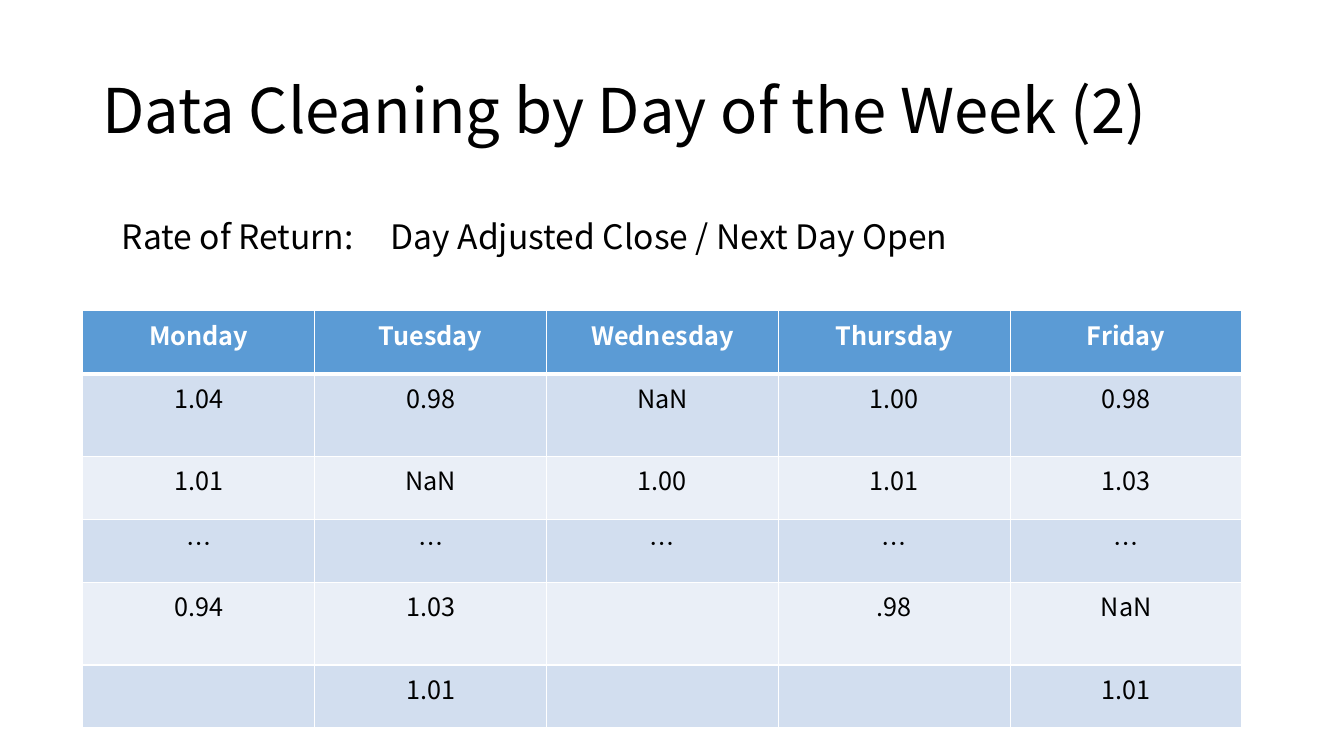
from lxml import etree
from pptx import Presentation
from pptx import util as u
from pptx.dml.color import RGBColor
from pptx.enum import text
from pptx.oxml.ns import qn

FONT = "Noto Sans CJK KR"
COLORS = {
    "text": "000000",
    "white": "FFFFFF",
    "header": "5B9BD5",
    "band_dark": "D2DEEF",
    "band_light": "EAEFF7",
}
RETURNS = [
    ["Monday", "Tuesday", "Wednesday", "Thursday", "Friday"],
    ["1.04", "0.98", "NaN", "1.00", "0.98"],
    ["1.01", "NaN", "1.00", "1.01", "1.03"],
    ["…"] * 5,
    ["0.94", "1.03", "", ".98", "NaN"],
    ["", "1.01", "", "", "1.01"],
]
ROW_HEIGHTS = [45, 59, 45, 45, 59, 45]
COL_WIDTH = 165.6


def rgb(name):
    """Look up a palette colour."""
    return RGBColor.from_string(COLORS[name])


def style(p, size, color="text", bold=False, align=text.PP_ALIGN.LEFT):
    """Format a paragraph and its runs."""
    p.alignment = align
    for r in p.runs:
        r.font.name = FONT
        r.font.size = u.Pt(size)
        r.font.bold = bold
        r.font.color.rgb = rgb(color)


def place(sp, left, top, width, height):
    """Move and size a shape, in points."""
    sp.left, sp.top = u.Pt(left), u.Pt(top)
    sp.width, sp.height = u.Pt(width), u.Pt(height)


def add_title(s, title):
    """Fill the title placeholder."""
    sp = s.shapes.title
    place(sp, 66, 28.75, 828, 104.4)
    tf = sp.text_frame
    tf.text = title
    tf.vertical_anchor = text.MSO_ANCHOR.MIDDLE
    p = tf.paragraphs[0]
    p.line_spacing = 0.9
    style(p, 44)


def add_formula(s, label, formula):
    """Add a label and its formula, parted by a tab stop."""
    sp = s.shapes.add_textbox(u.Pt(80), u.Pt(150.5), u.Pt(610), u.Pt(36))
    tf = sp.text_frame
    tf.word_wrap = True
    tf.text = f"{label}\t{formula}"
    p = tf.paragraphs[0]
    style(p, 24)
    tabs = etree.SubElement(p._p.get_or_add_pPr(), qn("a:tabLst"))
    etree.SubElement(tabs, qn("a:tab"), pos=str(u.Pt(192)), algn="l")


def set_borders(cell, widths):
    """Draw white cell borders; widths maps each side to points."""
    tc_pr = cell._tc.get_or_add_tcPr()
    for side, width in widths.items():
        ln = etree.SubElement(tc_pr, qn(f"a:ln{side}"), w=str(u.Pt(width)))
        fill = etree.SubElement(ln, qn("a:solidFill"))
        etree.SubElement(fill, qn("a:srgbClr"), val=COLORS["white"])


def add_returns_table(s, rows):
    """Add the weekday table with a header and banded rows."""
    n_cols = len(rows[0])
    tbl = s.shapes.add_table(
        len(rows), n_cols, u.Pt(59.2), u.Pt(222),
        u.Pt(COL_WIDTH * n_cols), u.Pt(sum(ROW_HEIGHTS))).table
    for col in tbl.columns:
        col.width = u.Pt(COL_WIDTH)
    for i, values in enumerate(rows):
        tbl.rows[i].height = u.Pt(ROW_HEIGHTS[i])
        header = i == 0
        band = "header" if header else "band_dark" if i % 2 else "band_light"
        borders = {"L": 1, "R": 1, "T": 3 if i == 1 else 1, "B": 3 if header else 1}
        for j, value in enumerate(values):
            cell = tbl.cell(i, j)
            set_borders(cell, borders)
            cell.fill.solid()
            cell.fill.fore_color.rgb = rgb(band)
            if value:
                cell.text_frame.text = value
                style(cell.text_frame.paragraphs[0], 18,
                      "white" if header else "text", header,
                      text.PP_ALIGN.CENTER)


def main():
    """Build and save the slide."""
    prs = Presentation()
    prs.slide_width, prs.slide_height = u.Pt(960), u.Pt(540)
    s = prs.slides.add_slide(prs.slide_layouts.get_by_name("Title Only"))
    add_title(s, "Data Cleaning by Day of the Week (2)")
    add_returns_table(s, RETURNS)
    add_formula(s, "Rate of Return:", "Day Adjusted Close / Next Day Open")
    prs.save("out.pptx")


main()
